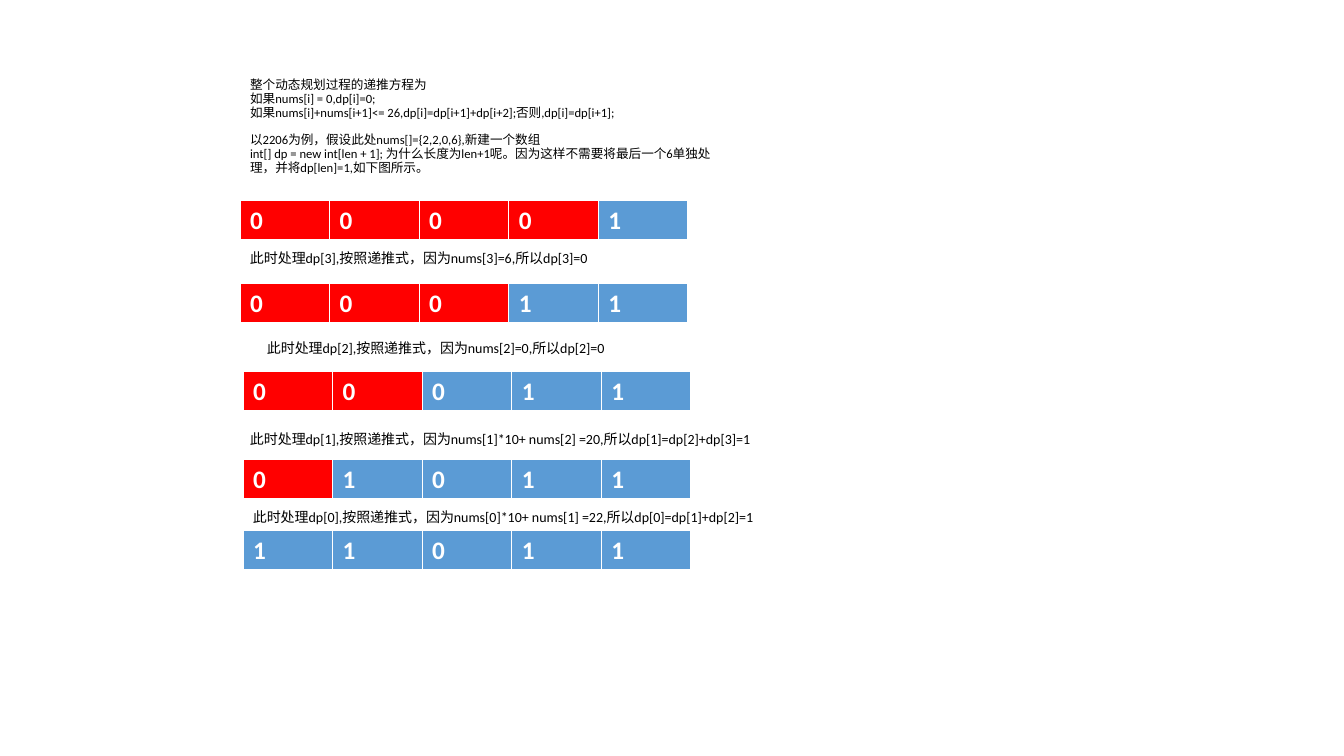
"""Build a slide that walks through filling a dp array step by step."""
from dataclasses import dataclass

from lxml import etree
from pptx import Presentation
from pptx.dml.color import RGBColor
from pptx.enum.text import MSO_ANCHOR, MSO_AUTO_SIZE, PP_ALIGN
from pptx.oxml.ns import qn
from pptx.slide import Slide
from pptx.table import _Cell
from pptx.text.text import TextFrame
from pptx.util import Emu, Pt

BOTTOM = MSO_ANCHOR.BOTTOM
NO_AUTOFIT = MSO_AUTO_SIZE.NONE
LEFT = PP_ALIGN.LEFT

EMU_PER_PX = 914400 / 100.8
FONT = "Calibri"
COLORS = {"text": "000000", "white": "FFFFFF", "pending": "FF0000", "done": "5B9BD5"}
BORDERS = {"a:lnL": 1, "a:lnR": 1, "a:lnT": 1, "a:lnB": 3}
TABLE_WIDTH, TABLE_HEIGHT = 448, 41

INTRODUCTION = [
    "整个动态规划过程的递推方程为\v"
    "如果nums[i] = 0,dp[i]=0;\v"
    "如果nums[i]+nums[i+1]<= 26,dp[i]=dp[i+1]+dp[i+2];否则,dp[i]=dp[i+1];",
    "以2206为例，假设此处nums[]={2,2,0,6},新建一个数组\v"
    "int[] dp = new int[len + 1]; 为什么长度为len+1呢。"
    "因为这样不需要将最后一个6单独处理，并将dp[len]=1,如下图所示。",
]


@dataclass(frozen=True)
class ArrayState:
    """One state of the dp array; the first `pending` cells are not yet computed."""

    left: int
    top: int
    values: str
    pending: int


@dataclass(frozen=True)
class Caption:
    """A line explaining one step."""

    left: int
    top: int
    width: int
    height: int
    line_spacing: float
    text: str


STATES = [
    ArrayState(240, 200, "00001", 4),
    ArrayState(240, 283, "00011", 3),
    ArrayState(243, 371, "00011", 2),
    ArrayState(243, 459, "01011", 1),
    ArrayState(243, 530, "11011", 0),
]

CAPTIONS = [
    Caption(240, 246, 469, 25, 0.9, "此时处理dp[3],按照递推式，因为nums[3]=6,所以dp[3]=0"),
    Caption(257, 336, 469, 25, 0.9, "此时处理dp[2],按照递推式，因为nums[2]=0,所以dp[2]=0"),
    Caption(240, 426, 681, 27, 1.0,
            "此时处理dp[1],按照递推式，因为nums[1]*10+ nums[2] =20,所以dp[1]=dp[2]+dp[3]=1"),
    Caption(243, 504, 681, 27, 1.0,
            "此时处理dp[0],按照递推式，因为nums[0]*10+ nums[1] =22,所以dp[0]=dp[1]+dp[2]=1"),
]


def px(length: int) -> Emu:
    """Convert pixels to EMU."""
    return Emu(round(length * EMU_PER_PX))


def format_text(text_frame: TextFrame, size: int, color: str, bold: bool = False,
                line_spacing: float = 1.0) -> None:
    """Apply one text style to a whole frame."""
    for paragraph in text_frame.paragraphs:
        paragraph.alignment = LEFT
        paragraph.line_spacing = line_spacing
        paragraph.space_before = Pt(0)
        for run in paragraph.runs:
            run.font.name = FONT
            run.font.size = Pt(size)
            run.font.bold = bold
            run.font.color.rgb = RGBColor.from_string(COLORS[color])


def add_borders(cell: _Cell) -> None:
    """Draw white borders around a cell, ahead of its fill."""
    properties = cell._tc.get_or_add_tcPr()
    for position, (tag, width) in enumerate(BORDERS.items()):
        line = etree.Element(qn(tag), w=str(Pt(width)))
        fill = etree.SubElement(line, qn("a:solidFill"))
        etree.SubElement(fill, qn("a:srgbClr"), val=COLORS["white"])
        properties.insert(position, line)


def set_title(slide: Slide) -> None:
    """Fill the title with the recurrence and the example."""
    title = slide.shapes.title
    title.left, title.top, title.width, title.height = px(240), px(85), px(483), px(122)
    text_frame = title.text_frame
    text_frame.word_wrap = True
    text_frame.auto_size = NO_AUTOFIT
    text_frame.vertical_anchor = BOTTOM
    text_frame.margin_bottom = px(32)
    text_frame.paragraphs[0].text = INTRODUCTION[0]
    example = text_frame.add_paragraph()
    example.text = INTRODUCTION[1]
    format_text(text_frame, 9, "text", line_spacing=0.9)
    example.space_before = Pt(10)


def add_caption(slide: Slide, caption: Caption) -> None:
    """Add the explanation of one step."""
    box = slide.shapes.add_textbox(px(caption.left), px(caption.top),
                                   px(caption.width), px(caption.height))
    box.text_frame.word_wrap = True
    box.text_frame.text = caption.text
    format_text(box.text_frame, 10, "text", line_spacing=caption.line_spacing)


def add_state(slide: Slide, state: ArrayState) -> None:
    """Add the dp array as a one-row table."""
    table = slide.shapes.add_table(1, len(state.values), px(state.left), px(state.top),
                                   px(TABLE_WIDTH), px(TABLE_HEIGHT)).table
    for index, value in enumerate(state.values):
        cell = table.cell(0, index)
        cell.text_frame.text = value
        format_text(cell.text_frame, 18, "white", bold=True)
        color = COLORS["pending" if index < state.pending else "done"]
        cell.fill.solid()
        cell.fill.fore_color.rgb = RGBColor.from_string(color)
        add_borders(cell)


def main() -> None:
    """Build and save the presentation."""
    presentation = Presentation()
    presentation.slide_width, presentation.slide_height = px(1344), px(756)
    slide = presentation.slides.add_slide(presentation.slide_layouts.get_by_name("Title Only"))
    set_title(slide)
    for caption in CAPTIONS:
        add_caption(slide, caption)
    for state in STATES:
        add_state(slide, state)
    presentation.save("out.pptx")


if __name__ == "__main__":
    main()
